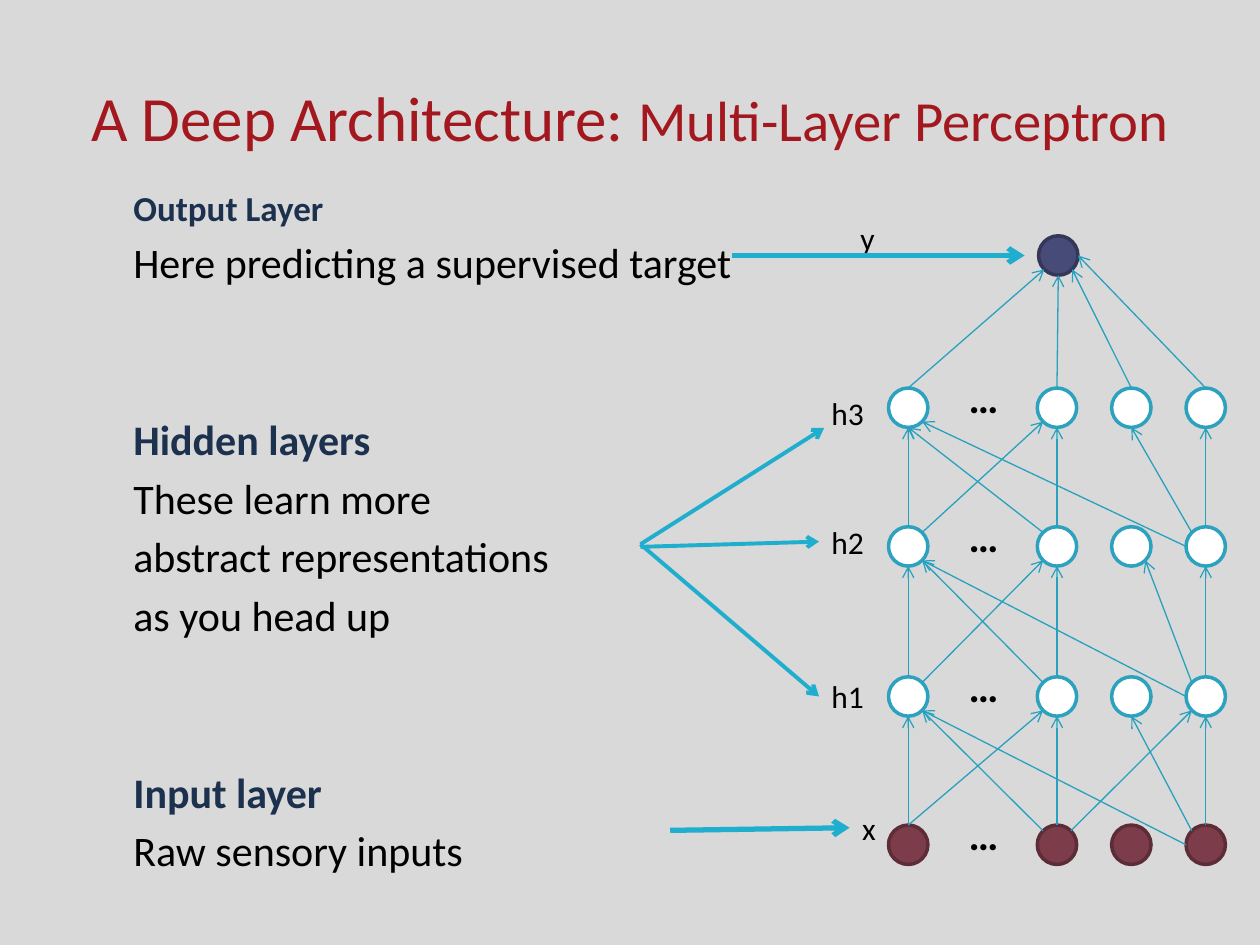
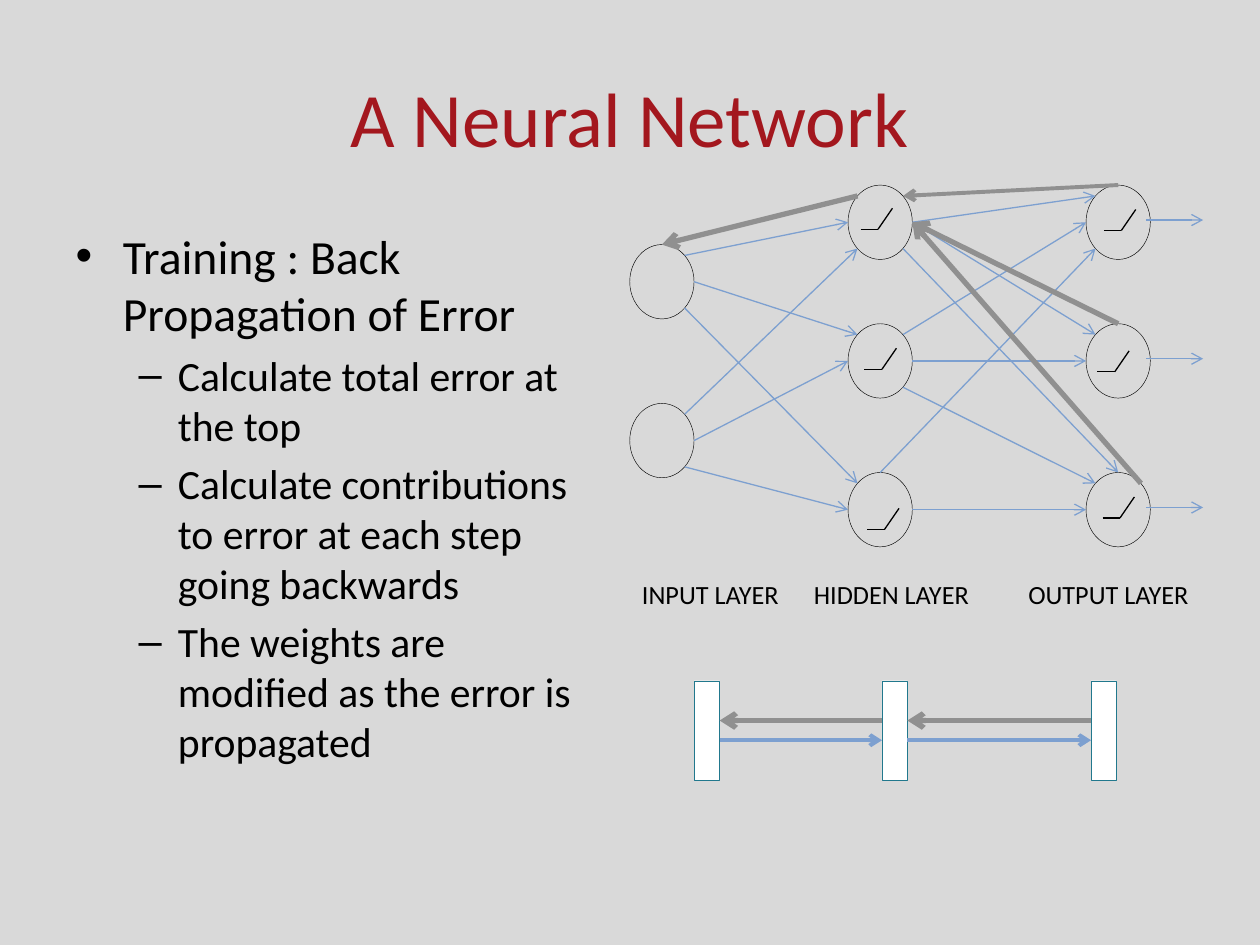
from dataclasses import dataclass
from math import sqrt
from lxml.etree import SubElement
from pptx import Presentation
from pptx.dml.color import RGBColor
from pptx.enum.shapes import MSO_CONNECTOR, MSO_SHAPE
from pptx.enum.text import MSO_ANCHOR, MSO_AUTO_SIZE, PP_ALIGN
from pptx.oxml.ns import qn
from pptx.util import Pt


@dataclass(frozen=True)
class Theme:
    font: str = "Calibri"
    # colours
    back: str = "D9D9D9"
    title: str = "A3171E"
    head: str = "1C314E"
    ink: str = "000000"
    white: str = "FFFFFF"
    ring: str = "2DA2BF"
    link: str = "28A1BE"
    guide: str = "1FAECD"
    input: str = "7D3C4A"
    inrim: str = "5C2C37"
    goal: str = "474B78"
    rim: str = "353759"
    pass_on: str = "7DA0D0"
    error: str = "909090"
    bar: str = "21788D"
    # type sizes
    big: float = 44
    mid: float = 36
    sub: float = 32.4
    lead: float = 27.2
    item: float = 23.8
    body: float = 24
    small: float = 20
    label: float = 18
    cap: float = 15


# Direction of each named site on an oval, from its centre
D = sqrt(0.5)
SITES = {"t": (0, -1), "b": (0, 1), "l": (-1, 0), "r": (1, 0),
         "tl": (-D, -D), "tr": (D, -D), "bl": (-D, D), "br": (D, D)}


class Deck:
    def __init__(self, theme):
        self.theme = theme
        self.prs = Presentation()
        self.prs.slide_width, self.prs.slide_height = Pt(720), Pt(540)
        fill = self.prs.slide_master.background.fill
        fill.solid()
        fill.fore_color.rgb = RGBColor.from_string(theme.back)

    def style(self, run, size, color, bold=False):
        font = run.font
        font.name, font.size, font.bold = self.theme.font, Pt(size), bold
        font.color.rgb = RGBColor.from_string(color)

    def place(self, shape, x, y, w, h):
        shape.left, shape.top, shape.width, shape.height = map(Pt, (x, y, w, h))
        frame = shape.text_frame
        frame.word_wrap, frame.auto_size = True, MSO_AUTO_SIZE.NONE
        return frame

    def start(self, *parts):
        """New slide; the title is made of (text, size) parts."""
        self.slide = self.prs.slides.add_slide(self.prs.slide_layouts[1])
        frame = self.place(self.slide.shapes.title, 36, 21.6, 648, 90)
        frame.vertical_anchor = MSO_ANCHOR.MIDDLE
        para = frame.paragraphs[0]
        para.alignment = PP_ALIGN.CENTER
        for text, size in parts:
            run = para.add_run()
            run.text = text
            self.style(run, size, self.theme.title)

    def list(self, box, rows):
        """Body text; a row is text, size, colour, bold, level, gap (None: bullet)."""
        frame = self.place(self.slide.placeholders[1], *box)
        frame.text = "\n".join(row[0] for row in rows)
        for para, (_, size, color, bold, level, gap) in zip(frame.paragraphs, rows):
            para.level = level
            self.style(para.runs[0], size, color, bold)
            if gap is not None:
                para.space_before = Pt(gap)
                props = para._p.get_or_add_pPr()
                props.set("marL", "0")
                props.set("indent", "0")
                SubElement(props, qn("a:buNone"))

    def text(self, text, x, y, w, h, size, bold=False):
        box = self.slide.shapes.add_textbox(0, 0, 0, 0)
        frame = self.place(box, x, y, w, h)
        frame.text = text
        self.style(frame.paragraphs[0].runs[0], size, self.theme.ink, bold)

    def shape(self, kind, x, y, w, h, fill, line, width):
        item = self.slide.shapes.add_shape(kind, Pt(x), Pt(y), Pt(w), Pt(h))
        item.shadow.inherit = False
        if fill:
            item.fill.solid()
            item.fill.fore_color.rgb = RGBColor.from_string(fill)
        else:
            item.fill.background()
        item.line.color.rgb = RGBColor.from_string(line)
        item.line.width = Pt(width)

    def node(self, mid, size, fill, line, width):
        (x, y), (w, h) = mid, size
        self.shape(MSO_SHAPE.OVAL, x - w / 2, y - h / 2, w, h, fill, line, width)

    def line(self, start, end, color, width, arrow=True):
        item = self.slide.shapes.add_connector(
            MSO_CONNECTOR.STRAIGHT, *map(Pt, (*start, *end)))
        item.line.color.rgb = RGBColor.from_string(color)
        item.line.width = Pt(width)
        if arrow:
            SubElement(item.line._get_or_add_ln(), qn("a:tailEnd"), type="arrow")
        SubElement(item._element.spPr, qn("a:effectLst"))

    def link(self, start, out, end, into, size, color, width):
        """Arrow from a site of one oval to a site of another."""
        ends = [tuple(mid[i] + SITES[site][i] * size[i] / 2 for i in (0, 1))
                for mid, site in ((start, out), (end, into))]
        self.line(*ends, color, width)


T = Theme()
deck = Deck(T)

# ---- Slide 1: multi-layer perceptron ----
deck.start(("A Deep Architecture: ", T.mid), ("Multi-Layer Perceptron", T.sub))


def head(text, gap, size=T.body):
    return text, size, T.head, True, 0, gap


def plain(text):
    return text, T.body, T.ink, False, 0, 4.8


deck.list((69, 103, 500, 384), [
    head("Output Layer", 4, T.small),
    plain("Here predicting a supervised target"),
    head("Hidden layers", 72),
    plain("These learn more "),
    plain("abstract representations "),
    plain("as you head up"),
    head("Input layer", 72),
    plain("Raw sensory inputs"),
])

# Layers of nodes; column 1 holds the dots
DOT = (22.5, 22.5)
COLS = {k: 519 + 42.5 * k for k in (0, 2, 3, 4)}
ROWS = {"x": 482.75, "h1": 398, "h2": 312.25, "h3": 233}
for name, y in ROWS.items():
    fill, rim = (T.input, T.inrim) if name == "x" else (T.white, T.ring)
    for x in COLS.values():
        deck.node((x, y), DOT, fill, rim, 2)
    deck.text("…", 546.5, y - 24, 42, 36, T.body, True)
top = (604.75, 146)
deck.node(top, DOT, T.goal, T.rim, 2)

# Links: column and site below, column and site above
SHARED = [(0, "t", 0, "b"), (2, "t", 2, "b"), (4, "t", 4, "b"), (4, "l", 0, "br")]
LINKS = {
    ("x", "h1"): [(0, "t", 2, "bl"), (2, "tl", 0, "br"), (2, "tr", 4, "bl"),
                  (4, "tl", 3, "b")],
    ("h1", "h2"): [(0, "tr", 2, "bl"), (2, "tl", 0, "br"), (4, "tl", 3, "br")],
    ("h2", "h3"): [(0, "tr", 2, "bl"), (2, "tl", 0, "b"), (4, "tl", 3, "b")],
}
for (low, high), extra in LINKS.items():
    for a, out, b, into in SHARED + extra:
        deck.link((COLS[a], ROWS[low]), out, (COLS[b], ROWS[high]), into,
                  DOT, T.link, 0.75)
for x, into in zip(COLS.values(), ("bl", "b", "br", "r")):
    deck.link((x, ROWS["h3"]), "t", top, into, DOT, T.link, 0.75)

# Layer labels and guide arrows
for name, x, y in (("x", 485.5, 458.5), ("h1", 468, 383.5), ("h2", 468, 295.5),
                   ("h3", 468, 221.5), ("y", 484.5, 121.5)):
    deck.text(name, x, y, 38, 29, T.label)
for start, end, width in (
        ((418.5, 146), (585.5, 146), 3),
        ((366, 311), (471, 244.5), 2.25),
        ((366, 312.5), (468, 309.5), 2.25),
        ((366, 311), (468, 398), 2.25),
        ((383, 474.5), (485.5, 473), 3)):
    deck.line(start, end, T.guide, width)

# ---- Slide 2: back propagation ----
deck.start(("A Neural Network", T.big))
deck.list((36, 126, 312, 342), [
    ("Training : Back Propagation of Error", T.lead, T.ink, False, 0, None),
    *((text, T.item, T.ink, False, 1, None) for text in (
        "Calculate total error at the top",
        "Calculate contributions to error at each step going backwards",
        "The weights are modified as the error is propagated")),
])

# Nodes, named by layer and place
CELL = (36.75, 42.5)
LAYERS = {"i": (378.25, (161, 251.75)),
          "h": (503, (127, 206.25, 291.25)),
          "o": (639, (127, 206.25, 291.25))}
nodes = {f"{key}{n}": (x, y) for key, (x, ys) in LAYERS.items()
         for n, y in enumerate(ys)}
for mid in nodes.values():
    deck.node(mid, CELL, None, T.ink, 0.25)

# Forward links
for link in ("i0 tr h0 l", "i0 r h1 tl", "i0 br h2 tl",
             "i1 tr h0 bl", "i1 r h1 l", "i1 br h2 l",
             "h0 r o0 tl", "h0 r o1 tl", "h0 br o2 t",
             "h1 tr o0 l", "h1 r o1 l", "h1 br o2 tl",
             "h2 t o0 bl", "h2 r o2 l"):
    a, out, b, into = link.split()
    deck.link(nodes[a], out, nodes[b], into, CELL, T.pass_on, 0.75)
for y in LAYERS["o"][1]:
    deck.line((655, y - 1.25), (687.5, y - 1.25), T.pass_on, 0.75)

# Activation marks
for x, y in ((491.75, 131), (494, 211), (495.5, 302.5),
             (630.75, 131.75), (627, 212.5), (630, 296)):
    bend = (x + 10, y)
    deck.line((x, y), bend, T.ink, 0.75, arrow=False)
    deck.line(bend, (x + 18.25, y - 12), T.ink, 0.75, arrow=False)

# Layer captions
for text, x in (("INPUT LAYER", 359.75), ("HIDDEN LAYER", 458), ("OUTPUT LAYER", 580.5)):
    deck.text(text, x, 327, 120, 25, T.cap)

# Layers as bars, with forward and backward passes
WIDE = 14.5
BARS = (396.75, 504, 623.5)
for x in BARS:
    deck.shape(MSO_SHAPE.RECTANGLE, x, 389, WIDE, 57, T.white, T.bar, 0.25)
for left, right in zip(BARS, BARS[1:]):
    deck.line((left + WIDE, 423), (right, 423), T.pass_on, 2.25)
    deck.line((right, 411.75), (left + WIDE, 411.75), T.error, 3)

# Error links
for link, width in (("h0 tl i0 t", 3), ("o0 t h0 tr", 2.25),
                    ("o1 t h0 r", 3), ("o2 tr h0 r", 3)):
    a, out, b, into = link.split()
    deck.link(nodes[a], out, nodes[b], into, CELL, T.error, width)

deck.prs.save("out.pptx")
